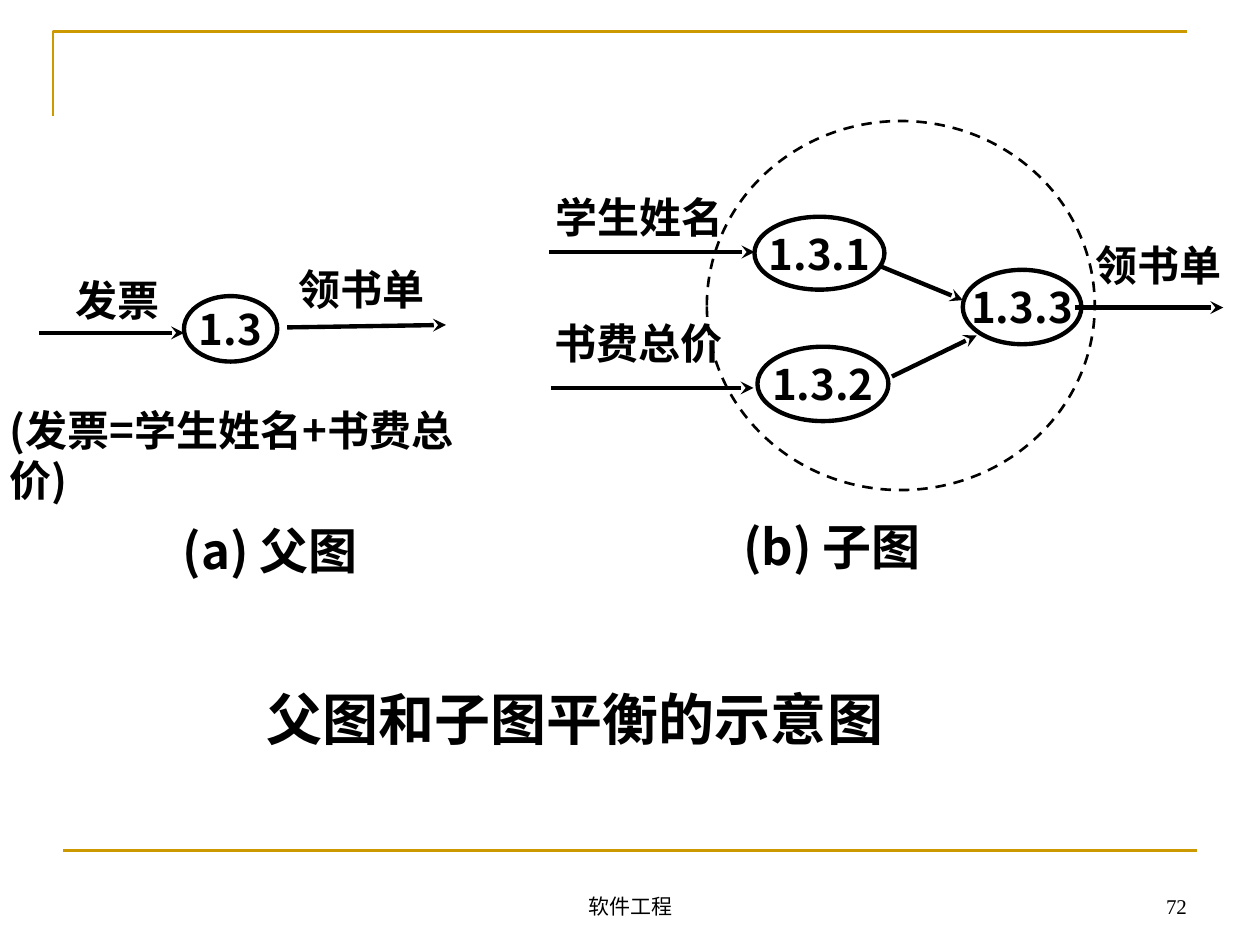
from lxml.etree import SubElement
from pptx import Presentation
from pptx.dml.color import RGBColor
from pptx.enum.dml import MSO_LINE
from pptx.enum.shapes import MSO_CONNECTOR, MSO_SHAPE
from pptx.enum.text import MSO_ANCHOR, MSO_AUTO_SIZE, PP_ALIGN
from pptx.oxml.ns import qn
from pptx.util import Cm, Pt

SANS = "Noto Sans CJK SC"
SERIF = "Times New Roman"
BLACK = "000000"
GOLD = "CC9900"


def color(fmt, code):
    """Give a fill or font colour a hex value."""
    fmt.rgb = RGBColor.from_string(code)


def stroke(line, code, width):
    """Set the colour and width of a line."""
    line.fill.solid()
    color(line.fill.fore_color, code)
    line.width = Pt(width)


def write(shape, text, size, align=PP_ALIGN.CENTER, anchor=MSO_ANCHOR.TOP,
          wrap=True, face=SANS, bold=True):
    """Put one formatted paragraph in a shape."""
    frame = shape.text_frame
    frame.text = text
    frame.word_wrap = wrap
    frame.auto_size = MSO_AUTO_SIZE.NONE
    frame.vertical_anchor = anchor
    frame.margin_left = frame.margin_right = Cm(0.2)
    frame.margin_top = frame.margin_bottom = Cm(0.1)
    para = frame.paragraphs[0]
    para.alignment = align
    para.space_before = Pt(0)
    para.line_spacing = Pt(size * 1.2)
    font = para.font
    font.size, font.bold, font.name = Pt(size), bold, face
    color(font.color, BLACK)
    props = para._p.pPr.find(qn("a:defRPr"))
    SubElement(props, qn("a:ea")).set("typeface", SANS)


def label(slide, box, text, size=24, **style):
    """Add a text box."""
    write(slide.shapes.add_textbox(*map(Cm, box)), text, size, **style)


def oval(slide, box, width=2.5):
    """Add an unfilled ellipse."""
    shape = slide.shapes.add_shape(MSO_SHAPE.OVAL, *map(Cm, box))
    shape.shadow.inherit = False
    shape.fill.background()
    stroke(shape.line, BLACK, width)
    return shape


def rule(slide, ends, code, width):
    """Add a straight line without a shadow."""
    line = slide.shapes.add_connector(MSO_CONNECTOR.STRAIGHT, *map(Cm, ends))
    stroke(line.line, code, width)
    SubElement(line._element.spPr, qn("a:effectLst"))
    return line


def arrow(slide, ends):
    """Add a data flow with a stealth head."""
    line = rule(slide, ends, BLACK, 2.5)
    SubElement(line.line._get_or_add_ln(), qn("a:tailEnd")).set("type", "stealth")


def corner(slide):
    """Draw the gold corner at the top left."""
    path = slide.shapes.build_freeform(Cm(1.07), Cm(2.34))
    path.add_line_segments([(Cm(1.07), Cm(0.64)), (Cm(23.93), Cm(0.64))], close=False)
    shape = path.convert_to_shape()
    shape.shadow.inherit = False
    shape.fill.background()
    stroke(shape.line, GOLD, 1.5)


def heading(slide, box, text):
    """Place and format the title."""
    title = slide.shapes.title
    title.left, title.top, title.width, title.height = map(Cm, box)
    write(title, text, 32)


def main():
    """Build the slide."""
    deck = Presentation()
    deck.slide_width, deck.slide_height = Cm(25.4), Cm(19.05)
    slide = deck.slides.add_slide(deck.slide_layouts[5])
    corner(slide)
    rule(slide, (1.27, 17.15, 24.13, 17.15), GOLD, 1.5)

    for text, box in (
        ("1.3", (3.71, 5.97, 1.88, 1.32)),
        ("1.3.1", (15.21, 4.37, 2.62, 1.47)),
        ("1.3.2", (15.27, 6.99, 2.64, 1.5)),
        ("1.3.3", (19.41, 5.44, 2.39, 1.5)),
    ):
        write(oval(slide, box), text, 24, anchor=MSO_ANCHOR.MIDDLE, wrap=False)

    for ends in (
        (0.79, 6.71, 3.71, 6.71),
        (5.79, 6.6, 8.99, 6.55),
        (11.07, 5.08, 15.21, 5.08),
        (11.1, 7.82, 15.19, 7.82),
        (17.73, 5.36, 19.41, 6.05),
        (17.98, 7.59, 19.69, 6.76),
        (21.67, 6.2, 24.66, 6.2),
    ):
        arrow(slide, ends)

    for text, left, top, width in (
        ("发票", 0.71, 5.44, 3.33),
        ("领书单", 5.54, 5.21, 3.51),
        ("学生姓名", 10.97, 3.76, 3.84),
        ("书费总价", 10.69, 6.3, 4.37),
        ("领书单", 21.84, 4.72, 3.02),
    ):
        label(slide, (left, top, width, 1.22), text)

    oval(slide, (14.25, 2.44, 7.82, 7.44), 1.5).line.dash_style = MSO_LINE.DASH
    label(slide, (0, 8.05, 10.39, 2.24), "(发票=学生姓名+书费总价)", align=PP_ALIGN.LEFT)
    label(slide, (2.67, 10.39, 5.56, 1.37), "(a) 父图", 28)
    label(slide, (13.89, 10.31, 5.77, 1.37), "(b) 子图", 28)
    heading(slide, (5.03, 13.69, 13.13, 1.55), "父图和子图平衡的示意图")

    small = {"size": 12, "anchor": MSO_ANCHOR.BOTTOM, "face": SERIF, "bold": False}
    label(slide, (8.69, 17.35, 8.05, 1.27), "软件工程", **small)
    label(slide, (18.21, 17.35, 5.92, 1.27), "72", align=PP_ALIGN.RIGHT, **small)
    deck.save("out.pptx")


if __name__ == "__main__":
    main()
